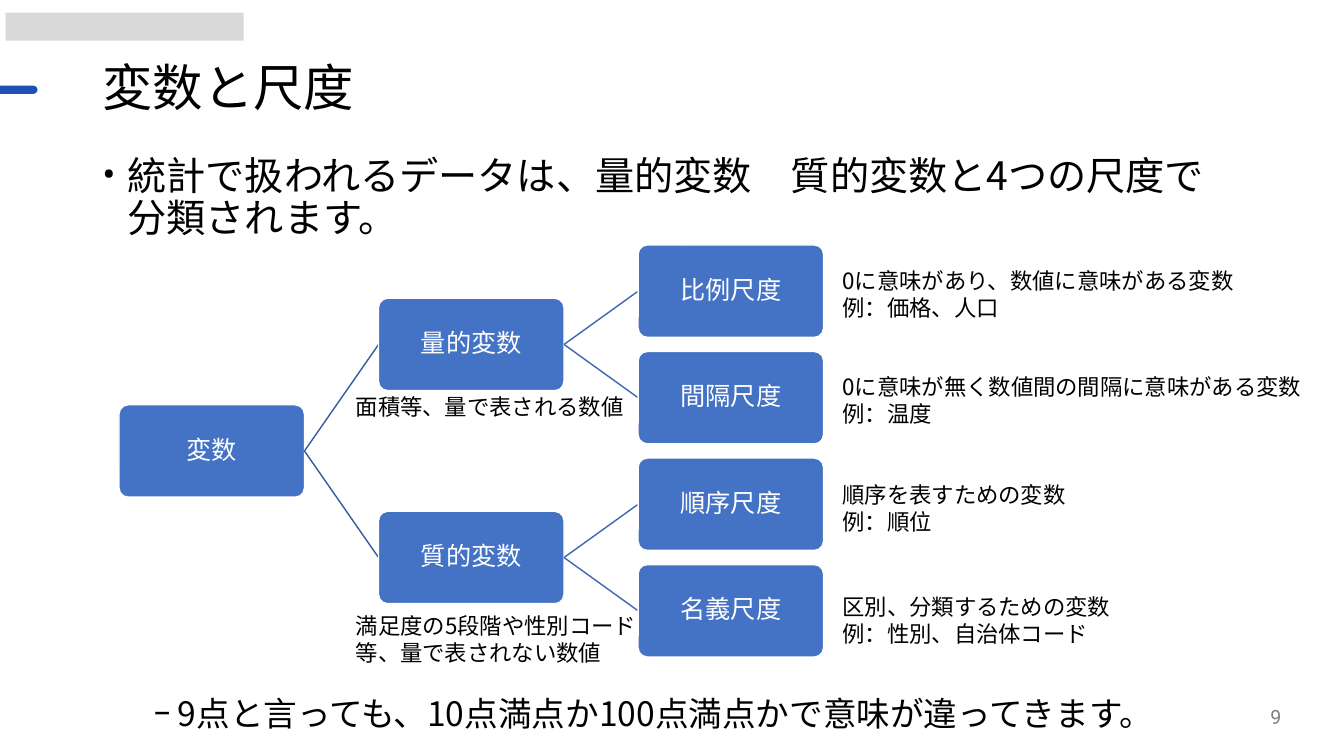
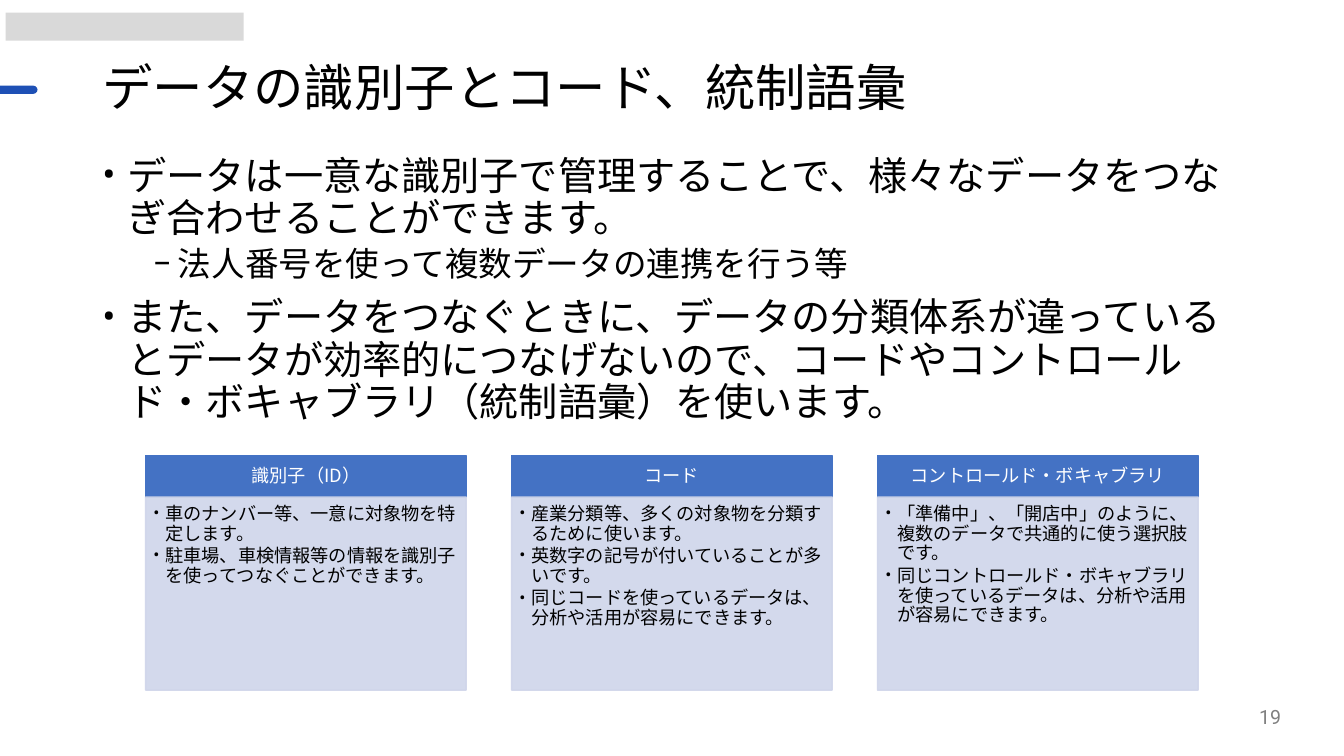
import pptx
import pptx.dml.color
import pptx.enum.shapes
import pptx.enum.text
import pptx.oxml
import pptx.oxml.ns
import pptx.util
from lxml import etree

Pt = pptx.util.Pt
RGBColor = pptx.dml.color.RGBColor
SHAPE = pptx.enum.shapes.MSO_SHAPE
ALIGN = pptx.enum.text.PP_ALIGN
ANCHOR = pptx.enum.text.MSO_ANCHOR
qn = pptx.oxml.ns.qn

# Shared look
BLACK = RGBColor(0x00, 0x00, 0x00)
WHITE = RGBColor(0xFF, 0xFF, 0xFF)
GRAY = RGBColor(0x80, 0x80, 0x80)
LIGHT_GRAY = RGBColor(0xD9, 0xD9, 0xD9)
BAR_BLUE = RGBColor(0x1E, 0x50, 0xB5)
BLUE = RGBColor(0x44, 0x72, 0xC4)
PALE_BLUE = RGBColor(0xCF, 0xD5, 0xEA)
ROOT_LINE = RGBColor(0x36, 0x5B, 0x9D)
BRANCH_LINE = RGBColor(0x3E, 0x67, 0xB2)
JAPANESE = "Noto Sans CJK JP"
LATIN = "Roboto"
INSETS = (7.2, 3.6, 7.2, 3.6)
BODY_LEFT, BODY_WIDTH = 66, 828

# Paragraph styles of the body text
TOP_LEVEL = dict(size=28, spacing=0.9, before=10, bullet=("•", 18, 18))
SUB_LEVEL = dict(size=24, spacing=0.9, before=5, bullet=("−", 54, 18))
CARD_ITEM = dict(size=13, spacing=0.9, after=2, bullet=("•", 8.64, 8.64))

# Slide 1 content: branches hold (name, note, note top, scales)
VARIABLES_TITLE = "変数と尺度"
VARIABLES_INTRO = "統計で扱われるデータは、量的変数　質的変数と4つの尺度で分類されます。"
VARIABLES_REMARK = "9点と言っても、10点満点か100点満点かで意味が違ってきます。"
ROOT = "変数"
BRANCHES = [
    ("量的変数", "面積等、量で表される数値", 277, [
        ("比例尺度", ["0に意味があり、数値に意味がある変数", "例：価格、人口"], 187),
        ("間隔尺度", ["0に意味が無く数値間の間隔に意味がある変数", "例：温度"], 263),
    ]),
    ("質的変数", "満足度の5段階や性別コード等、量で表されない数値", 433.5, [
        ("順序尺度", ["順序を表すための変数", "例：順位"], 340),
        ("名義尺度", ["区別、分類するための変数", "例：性別、自治体コード"], 420),
    ]),
]

# Slide 2 content
CODES_TITLE = "データの識別子とコード、統制語彙"
CODES_BODY = [
    ("データは一意な識別子で管理することで、様々なデータをつなぎ合わせることができます。", TOP_LEVEL),
    ("法人番号を使って複数データの連携を行う等", SUB_LEVEL),
    ("また、データをつなぐときに、データの分類体系が違っているとデータが効率的につなげないので、"
     "コードやコントロールド・ボキャブラリ（統制語彙）を使います。", TOP_LEVEL),
]
CARDS = [
    ("識別子（ID）", [
        "車のナンバー等、一意に対象物を特定します。",
        "駐車場、車検情報等の情報を識別子を使ってつなぐことができます。",
    ]),
    ("コード", [
        "産業分類等、多くの対象物を分類するために使います。",
        "英数字の記号が付いていることが多いです。",
        "同じコードを使っているデータは、分析や活用が容易にできます。",
    ]),
    ("コントロールド・ボキャブラリ", [
        "「準備中」、「開店中」のように、複数のデータで共通的に使う選択肢です。",
        "同じコントロールド・ボキャブラリを使っているデータは、分析や活用が容易にできます。",
    ]),
]


def style_paragraph(para, size, font=JAPANESE, color=BLACK, align=ALIGN.LEFT,
                    spacing=1.0, before=0, after=0, bullet=None):
    properties = para._p.get_or_add_pPr()
    if bullet:
        mark, margin, hanging = bullet
        properties.set("marL", str(Pt(margin)))
        properties.set("indent", str(-Pt(hanging)))
        etree.SubElement(properties, qn("a:buFont")).set("typeface", LATIN)
        etree.SubElement(properties, qn("a:buChar")).set("char", mark)
    para.alignment = align
    para.line_spacing = spacing
    para.space_before, para.space_after = Pt(before), Pt(after)
    para.font.size = Pt(size)
    para.font.name = font
    para.font.color.rgb = color
    # East Asian glyphs always use the Japanese font
    defaults = properties.find(qn("a:defRPr"))
    etree.SubElement(defaults, qn("a:ea")).set("typeface", JAPANESE)


def write(shape, items, anchor=ANCHOR.TOP, insets=INSETS):
    """Fill a shape with (text, style) paragraphs."""
    frame = shape.text_frame
    frame.word_wrap = True
    frame.vertical_anchor = anchor
    (frame.margin_left, frame.margin_top,
     frame.margin_right, frame.margin_bottom) = map(Pt, insets)
    for index, (text, style) in enumerate(items):
        para = frame.add_paragraph() if index else frame.paragraphs[0]
        para.text = text
        style_paragraph(para, **style)


def add_text(page, place, items, **options):
    write(page.shapes.add_textbox(*map(Pt, place)), items, **options)


def add_box(page, kind, place, fill, line=None):
    box = page.shapes.add_shape(kind, *map(Pt, place))
    box.shadow.inherit = False
    box.fill.solid()
    box.fill.fore_color.rgb = fill
    if line is None:
        box.line.fill.background()
    else:
        box.line.color.rgb = line
        box.line.width = Pt(1)
    return box


def add_link(page, start, end, color):
    link = page.shapes.add_connector(
        pptx.enum.shapes.MSO_CONNECTOR.STRAIGHT, *map(Pt, start + end))
    link.line.color.rgb = color
    link.line.width = Pt(1)
    etree.SubElement(link._element.spPr, qn("a:effectLst"))


def add_page(deck, title, number):
    """Blank page with the shared header, title and page number."""
    page = deck.slides.add_slide(deck.slide_layouts[6])
    add_box(page, SHAPE.RECTANGLE, (4, 9, 170, 20), LIGHT_GRAY)
    bar = add_box(page, SHAPE.ROUNDED_RECTANGLE, (-7.2, 61.2, 34, 5.8), BAR_BLUE)
    bar.adjustments[0] = 0.5
    add_text(page, (BODY_LEFT, 41, BODY_WIDTH, 46.8),
             [(title, dict(size=36, font=LATIN, spacing=0.9))], anchor=ANCHOR.MIDDLE)
    add_text(page, (706.3, 497.5, 216, 28.8),
             [(str(number), dict(size=14, font=LATIN, color=GRAY, align=ALIGN.RIGHT))],
             anchor=ANCHOR.MIDDLE)
    return page


def build_variables(deck):
    page = add_page(deck, VARIABLES_TITLE, 9)
    add_text(page, (BODY_LEFT, 108, BODY_WIDTH, 56), [(VARIABLES_INTRO, TOP_LEVEL)])
    add_text(page, (BODY_LEFT, 495, BODY_WIDTH, 33), [(VARIABLES_REMARK, SUB_LEVEL)])

    # Tree: leaves are evenly spaced, each parent is centred on its children
    node_width, node_height = 132.5, 66
    first_middle, leaf_step = 208, 76.1
    root_left, branch_left, leaf_left = [85 + 185.4 * level for level in range(3)]
    node_style = dict(size=18, color=WHITE, align=ALIGN.CENTER, spacing=0.9)
    note_style = dict(size=16)

    def add_node(text, left, middle):
        place = (left, middle - node_height / 2, node_width, node_height)
        node = add_box(page, SHAPE.ROUNDED_RECTANGLE, place, BLUE, WHITE)
        node.adjustments[0] = 0.1
        write(node, [(text, node_style)], anchor=ANCHOR.MIDDLE, insets=(1, 1, 1, 1))

    leaf_count = sum(len(scales) for *_, scales in BRANCHES)
    root_middle = first_middle + leaf_step * (leaf_count - 1) / 2
    add_node(ROOT, root_left, root_middle)
    leaf_index = 0
    for name, note, note_top, scales in BRANCHES:
        middles = [first_middle + leaf_step * (leaf_index + i) for i in range(len(scales))]
        leaf_index += len(scales)
        branch_middle = sum(middles) / len(middles)
        add_link(page, (root_left + node_width, root_middle),
                 (branch_left, branch_middle), ROOT_LINE)
        add_node(name, branch_left, branch_middle)
        add_text(page, (247, note_top, 219, 46), [(note, note_style)])
        for (scale, lines, lines_top), middle in zip(scales, middles):
            add_link(page, (branch_left + node_width, branch_middle),
                     (leaf_left, middle), BRANCH_LINE)
            add_node(scale, leaf_left, middle)
            add_text(page, (594.7, lines_top, 365, 46), [(line, note_style) for line in lines])


def build_codes(deck):
    page = add_page(deck, CODES_TITLE, 19)
    add_text(page, (BODY_LEFT, 108, BODY_WIDTH, 168.5), CODES_BODY)

    # Three cards with a heading band each
    card_width, card_step, card_top = 229, 261.4, 325.5
    head_height, list_height = 29.5, 138
    head_style = dict(size=13, color=WHITE, align=ALIGN.CENTER, spacing=0.9)
    for index, (heading, items) in enumerate(CARDS):
        left = 104 + card_step * index
        head = add_box(page, SHAPE.RECTANGLE, (left, card_top, card_width, head_height),
                       BLUE, BLUE)
        write(head, [(heading, head_style)], anchor=ANCHOR.MIDDLE, insets=(7.2, 4.2, 7.2, 4.2))
        panel = add_box(page, SHAPE.RECTANGLE,
                        (left, card_top + head_height, card_width, list_height),
                        PALE_BLUE, PALE_BLUE)
        for color in panel._element.spPr.iter(qn("a:srgbClr")):
            etree.SubElement(color, qn("a:alpha")).set("val", "90000")
        write(panel, [(item, CARD_ITEM) for item in items], insets=(5.6, 5.6, 7.4, 8))


def main():
    deck = pptx.Presentation()
    deck.slide_width, deck.slide_height = Pt(960), Pt(540)
    build_variables(deck)
    build_codes(deck)
    deck.save("out.pptx")


if __name__ == "__main__":
    main()
